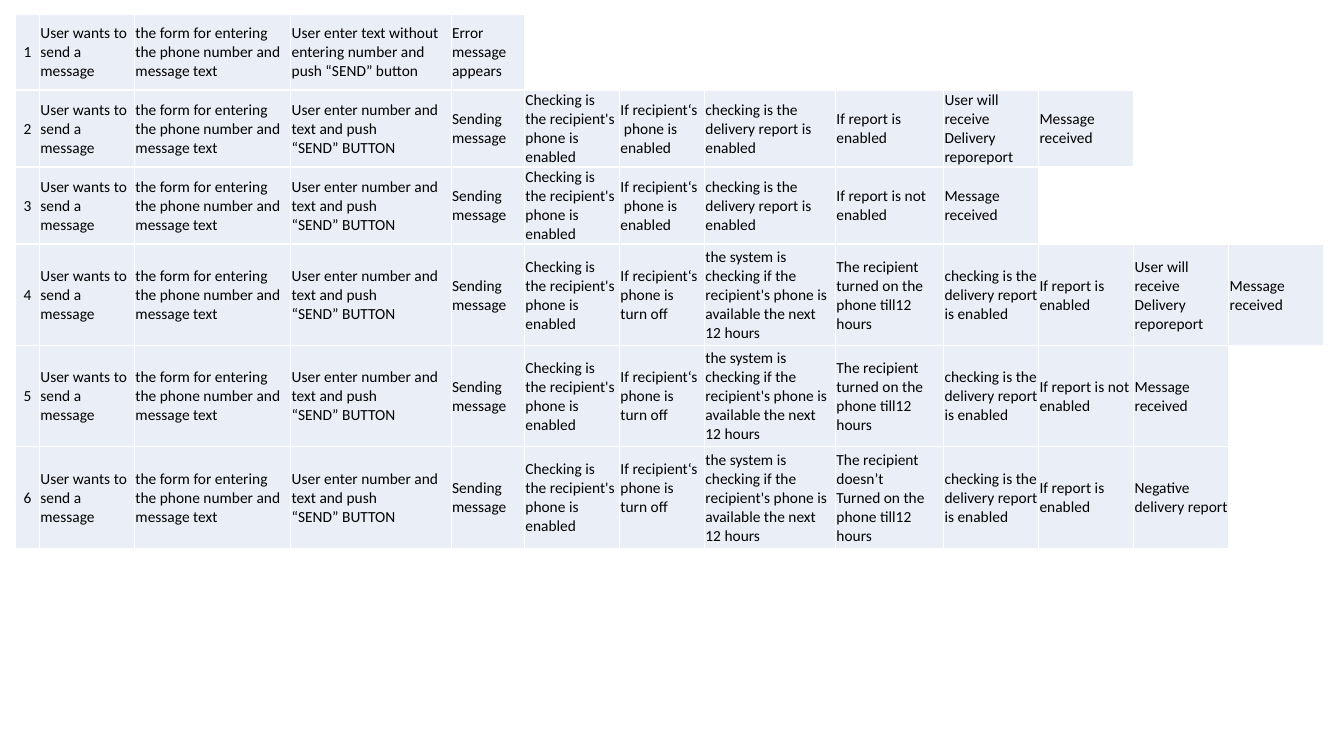
from dataclasses import dataclass

from lxml import etree
from pptx import Presentation
from pptx import util as u
from pptx.dml.color import RGBColor
from pptx.enum import text
from pptx.oxml import ns


@dataclass(frozen=True)
class Theme:
    """Colours, type and line sizes of the slide."""
    ink: str = "000000"
    filled: str = "EAEFF7"
    blank: str = "FFFFFF"
    border: str = "FFFFFF"
    border_width: float = 1
    font: str = "Calibri"
    size: float = 11
    inset: float = 0.7


THEME = Theme()
STEP_WIDTH = 67.9
COLUMN_WIDTHS = [17.2, STEP_WIDTH, 111.6, 114.6, 52.4, STEP_WIDTH, 60.7,
                 93.6, 77.2] + [STEP_WIDTH] * 4
ROW_HEIGHTS = [54.3] * 3 + [72.4] * 3
LAST_OFF_CELL = (5, 6)
LAST_OFF_BOTTOM = 13.4

# Steps shared by several scenarios; "\v" is a line break.
OPENING = ["User wants to send a message",
           "the form for entering the phone number and message text"]
SENDING = OPENING + ["User enter number and \vtext and push \v“SEND” BUTTON",
                     "Sending message",
                     "Checking is the recipient's phone is enabled"]
REPORT_CHECK = "checking is the delivery report is enabled"
PHONE_ON = SENDING + ["If recipient‘s\v phone is \venabled", REPORT_CHECK]
PHONE_OFF = SENDING + [
    "If recipient‘s phone is turn off",
    "the system is checking if the recipient's phone is available "
    "the next 12 hours"]
TURNED_ON = PHONE_OFF + ["The recipient turned on the phone till12 hours",
                         REPORT_CHECK]
RECEIVED = "Message received"
REPORT_ON = ["If report is \venabled",
             "User will receive Delivery reporeport", RECEIVED]
REPORT_OFF = ["If report is not enabled", RECEIVED]

SCENARIOS = [
    OPENING + ["User enter text without entering number and push “SEND” button",
               "Error message appears"],
    PHONE_ON + REPORT_ON,
    PHONE_ON + REPORT_OFF,
    TURNED_ON + REPORT_ON,
    TURNED_ON + REPORT_OFF,
    PHONE_OFF + ["The recipient doesn’t \vTurned on the phone till12 hours",
                 REPORT_CHECK, "If report is enabled",
                 "Negative delivery report"],
]


def set_borders(cell):
    """Draw the same thin line on all four sides of a cell."""
    properties = cell._tc.get_or_add_tcPr()
    for side in ("lnL", "lnR", "lnT", "lnB"):
        line = etree.SubElement(properties, ns.qn(f"a:{side}"),
                                w=str(u.Pt(THEME.border_width)))
        fill = etree.SubElement(line, ns.qn("a:solidFill"))
        etree.SubElement(fill, ns.qn("a:srgbClr"), val=THEME.border)


def style_cell(cell, colour):
    """Set borders, fill, insets and anchor of a cell."""
    set_borders(cell)
    cell.fill.solid()
    cell.fill.fore_color.rgb = RGBColor.from_string(colour)
    cell.margin_left = cell.margin_right = cell.margin_top = u.Pt(THEME.inset)
    cell.margin_bottom = u.Pt(0)
    cell.vertical_anchor = text.MSO_ANCHOR.MIDDLE


def write_cell(cell, words, alignment):
    """Put one paragraph of formatted text in a cell."""
    para = cell.text_frame.paragraphs[0]
    para.text = words
    para.alignment = alignment
    for span in para.runs:
        span.font.name = THEME.font
        span.font.size = u.Pt(THEME.size)
        span.font.color.rgb = RGBColor.from_string(THEME.ink)


def add_grid(page, left, top):
    """Add an unbanded table with the set column widths and row heights."""
    frame = page.shapes.add_table(
        len(ROW_HEIGHTS), len(COLUMN_WIDTHS), u.Pt(left), u.Pt(top),
        u.Pt(sum(COLUMN_WIDTHS)), u.Pt(sum(ROW_HEIGHTS)))
    grid = frame.table
    grid.first_row = grid.horz_banding = False
    for column, width in zip(grid.columns, COLUMN_WIDTHS):
        column.width = u.Pt(width)
    for row, height in zip(grid.rows, ROW_HEIGHTS):
        row.height = u.Pt(height)
    return grid


def fill_scenario(row, number, steps):
    """Write a scenario's number and steps, leaving the other cells blank."""
    words = [str(number)] + steps
    for index, cell in enumerate(row.cells):
        used = index < len(words)
        style_cell(cell, THEME.filled if used else THEME.blank)
        if used:
            align = text.PP_ALIGN.LEFT if index else text.PP_ALIGN.CENTER
            write_cell(cell, words[index], align)


def main():
    """Build the scenario table and save the deck."""
    deck = Presentation()
    deck.slide_width, deck.slide_height = u.Pt(960), u.Pt(540)
    page = deck.slides.add_slide(deck.slide_layouts[6])
    grid = add_grid(page, 11, 10)
    for number, (row, steps) in enumerate(zip(grid.rows, SCENARIOS), 1):
        fill_scenario(row, number, steps)
    grid.cell(*LAST_OFF_CELL).margin_bottom = u.Pt(LAST_OFF_BOTTOM)
    deck.save("out.pptx")


main()
